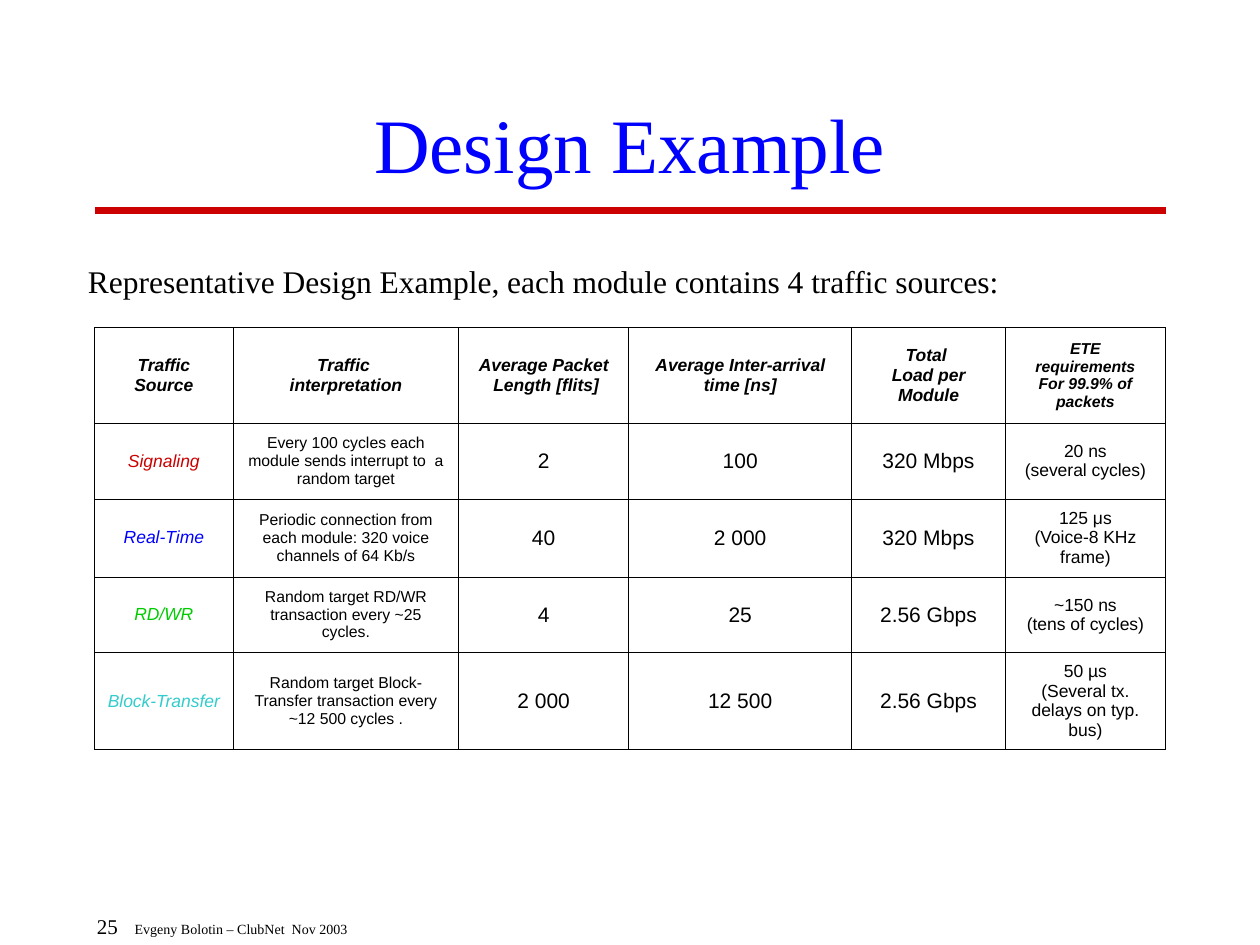
import pptx
import pptx.dml.color
import pptx.enum.shapes
import pptx.enum.text
import pptx.oxml
import pptx.oxml.ns
import pptx.util
from lxml import etree

Inches, Pt = pptx.util.Inches, pptx.util.Pt
RGBColor = pptx.dml.color.RGBColor
ALIGN, ANCHOR = pptx.enum.text.PP_ALIGN, pptx.enum.text.MSO_ANCHOR
qn = pptx.oxml.ns.qn

BLACK = RGBColor(0x00, 0x00, 0x00)
BLUE = RGBColor(0x00, 0x00, 0xFF)
RED = RGBColor(0xCC, 0x00, 0x00)
GREEN = RGBColor(0x00, 0xCC, 0x00)
TEAL = RGBColor(0x33, 0xCC, 0xCC)
SERIF, SANS = "Times New Roman", "Arial"

# Content: each cell is a list of paragraphs, "\n" breaks a line
TITLE = "Design Example"
INTRO = "Representative Design Example, each module contains 4 traffic sources:"
PAGE_NUMBER = "25"
FOOTER = "Evgeny Bolotin – ClubNet  Nov 2003"
HEADER = [
    ["Traffic Source"],
    ["Traffic \ninterpretation"],
    ["Average Packet", " Length [flits]"],
    ["Average Inter-arrival time [ns]"],
    ["Total ", "Load per Module"],
    ["ETE", "requirements", "For 99.9% of packets"],
]
SOURCES = [
    [["Signaling"],
     ["Every 100 cycles each module sends interrupt to  a random target"],
     ["2"], ["100"], ["320 Mbps"], ["20 ns", "(several cycles)"]],
    [["Real-Time"],
     ["Periodic connection from each module: 320 voice channels of 64 Kb/s"],
     ["40"], ["2 000"], ["320 Mbps"], ["125 μs", "(Voice-8 KHz frame)"]],
    [["RD/WR"],
     ["Random target RD/WR transaction every ~25 cycles."],
     ["4"], ["25"], ["2.56 Gbps"], ["~150 ns", "(tens of cycles)"]],
    [["Block-Transfer"],
     ["Random target Block-Transfer transaction every ~12 500 cycles ."],
     ["2 000"], ["12 500"], ["2.56 Gbps"],
     ["50 µs", "(Several tx. delays on typ. bus)"]],
]
SOURCE_COLORS = [RED, BLUE, GREEN, TEAL]
HEADER_SIZES = [10, 10, 10, 10, 10, 9]
BODY_SIZES = [10, 9, 12, 12, 12, 10]
COL_WIDTHS = [1.1, 1.79, 1.35, 1.77, 1.22, 1.27]
ROW_HEIGHTS = [0.76, 0.6, 0.62, 0.6, 0.77]
LEFT, WIDTH = 0.75, 8.5
THIN, THICK = 0.45, 0.96


def add_run(p, text, size, font=SERIF, color=BLACK, bold=False, italic=False):
    r = p.add_run()
    r.text = text
    r.font.size, r.font.name = Pt(size), font
    r.font.bold, r.font.italic = bold, italic
    r.font.color.rgb = color


def add_box(slide, left, top, width, height, anchor):
    tf = slide.shapes.add_textbox(
        Inches(left), Inches(top), Inches(width), Inches(height)).text_frame
    tf.word_wrap = True
    tf.vertical_anchor = anchor
    return tf.paragraphs[0]


def set_borders(cell, top, bottom):
    tc_pr = cell._tc.get_or_add_tcPr()
    for side, width in zip("LRTB", (THIN, THIN, top, bottom)):
        ln = etree.SubElement(tc_pr, qn("a:ln" + side), w=str(int(Pt(width))))
        fill = etree.SubElement(ln, qn("a:solidFill"))
        etree.SubElement(fill, qn("a:srgbClr"), val=str(BLACK))


def fill_cell(cell, paragraphs, **style):
    cell.vertical_anchor = ANCHOR.MIDDLE
    cell.margin_left = cell.margin_right = Inches(0.1)
    cell.margin_top = cell.margin_bottom = Inches(0.05)
    tf = cell.text_frame
    for i, text in enumerate(paragraphs):
        p = tf.add_paragraph() if i else tf.paragraphs[0]
        p.alignment = ALIGN.CENTER
        for j, line in enumerate(text.split("\n")):
            if j:
                p.add_line_break()
            add_run(p, line, font=SANS, **style)


def main():
    prs = pptx.Presentation()
    prs.slide_width, prs.slide_height = Inches(10), Inches(7.5)
    s = prs.slides.add_slide(prs.slide_layouts[6])

    # Rule under the title
    rule = s.shapes.add_connector(
        pptx.enum.shapes.MSO_CONNECTOR.STRAIGHT,
        Inches(LEFT), Inches(1.67), Inches(LEFT + WIDTH), Inches(1.67))
    rule.line.color.rgb = RED
    rule.line.width = Pt(4)
    etree.SubElement(rule._element.spPr, qn("a:effectLst"))

    # Footer: page number, then a tab stop before the credit
    p = add_box(s, 0.67, 7, 3.25, 0.5, ANCHOR.BOTTOM)
    tabs = etree.SubElement(p._p.get_or_add_pPr(), qn("a:tabLst"))
    etree.SubElement(tabs, qn("a:tab"), pos=str(int(Inches(0.3))), algn="l")
    add_run(p, PAGE_NUMBER, 12)
    add_run(p, "\t" + FOOTER, 8)

    # Title and introduction
    p = add_box(s, LEFT, 0.67, WIDTH, 0.92, ANCHOR.MIDDLE)
    p.alignment = ALIGN.CENTER
    add_run(p, TITLE, 44, color=BLUE)
    add_run(add_box(s, 0.6, 2.03, WIDTH, 0.38, ANCHOR.TOP), INTRO, 18)

    # Traffic table
    rows = [HEADER] + SOURCES
    table = s.shapes.add_table(
        len(rows), len(HEADER), Inches(LEFT), Inches(2.6),
        Inches(WIDTH), Inches(sum(ROW_HEIGHTS))).table
    table.first_row = table.horz_banding = False
    for col, width in zip(table.columns, COL_WIDTHS):
        col.width = Inches(width)
    for row, height in zip(table.rows, ROW_HEIGHTS):
        row.height = Inches(height)

    for i, row in enumerate(rows):
        header = i == 0
        sizes = HEADER_SIZES if header else BODY_SIZES
        for j, paragraphs in enumerate(row):
            cell = table.cell(i, j)
            named = j == 0 and not header
            fill_cell(cell, paragraphs, size=sizes[j], bold=header,
                      italic=header or named,
                      color=SOURCE_COLORS[i - 1] if named else BLACK)
            set_borders(cell, THICK if i == 1 else THIN,
                        THICK if header else THIN)
            cell.fill.background()

    prs.save("out.pptx")


if __name__ == "__main__":
    main()
